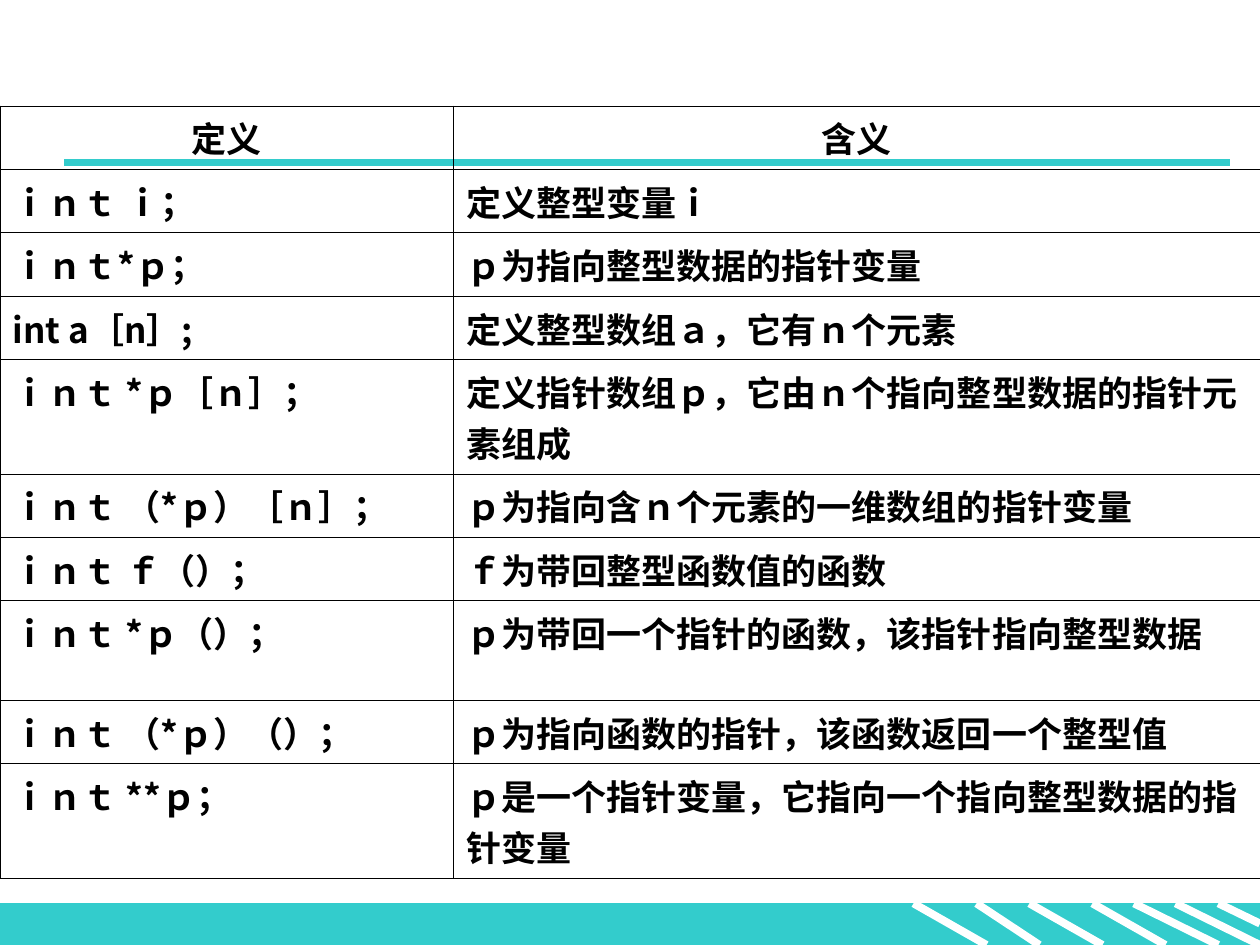
import pptx
import pptx.dml.color
import pptx.enum.shapes
import pptx.enum.text
import pptx.oxml.ns
import pptx.util
from lxml import etree
from pptx.util import Inches

FONT = "Noto Sans CJK SC"
TEAL, WHITE, BLACK = "33CCCC", "FFFFFF", "000000"


def colour(value):
    return pptx.dml.color.RGBColor.from_string(value)


def add_child(parent, tag, **attributes):
    return etree.SubElement(parent, pptx.oxml.ns.qn(tag), **attributes)


def write(frame, text, size=20, bold=True, ink=BLACK, align="LEFT"):
    para = frame.paragraphs[0]
    para.alignment = getattr(pptx.enum.text.PP_ALIGN, align)
    span = para.add_run()
    span.text = text
    span.font.size = pptx.util.Pt(size)
    span.font.bold = bold
    span.font.name = FONT
    span.font.language_id = pptx.enum.lang.MSO_LANGUAGE_ID.SIMPLIFIED_CHINESE
    span.font.color.rgb = colour(ink)
    add_child(span.font._element, "a:ea", typeface=FONT)


class SlideBuilder:
    def __init__(self, page, border=0.45):
        self.page = page
        self.border = pptx.util.Pt(border)

    def bar(self, left, top, width, height, fill):
        box = self.page.shapes.add_shape(
            pptx.enum.shapes.MSO_SHAPE.RECTANGLE,
            Inches(left), Inches(top), Inches(width), Inches(height))
        box.shadow.inherit = False
        box.fill.solid()
        box.fill.fore_color.rgb = colour(fill)
        box.line.color.rgb = colour(fill)
        box.line.width = pptx.util.Pt(0.75)

    def line(self, x1, y1, x2, y2, ink, width=4.5):
        connector = self.page.shapes.add_connector(
            pptx.enum.shapes.MSO_CONNECTOR.STRAIGHT,
            Inches(x1), Inches(y1), Inches(x2), Inches(y2))
        connector.line.color.rgb = colour(ink)
        connector.line.width = pptx.util.Pt(width)
        add_child(connector._element.spPr, "a:effectLst")

    def outline(self, cell):
        properties = cell._tc.get_or_add_tcPr()
        for side in ("a:lnL", "a:lnR", "a:lnT", "a:lnB"):
            edge = add_child(properties, side, w=str(int(self.border)))
            add_child(add_child(edge, "a:solidFill"), "a:srgbClr", val=BLACK)

    def table(self, left, top, columns, heights, rows):
        table = self.page.shapes.add_table(
            len(rows), len(columns), Inches(left), Inches(top),
            Inches(sum(columns)), Inches(sum(heights))).table
        table.first_row = table.horz_banding = False
        for column, width in zip(table.columns, columns):
            column.width = Inches(width)
        for index, (row, height, texts) in enumerate(zip(table.rows, heights, rows)):
            row.height = Inches(height)
            for cell, text in zip(row.cells, texts):
                self.outline(cell)
                cell.fill.background()
                write(cell.text_frame, text, align="LEFT" if index else "CENTER")


def main():
    deck = pptx.Presentation()
    deck.slide_width, deck.slide_height = Inches(10), Inches(7.5)
    page = deck.slides.add_slide(deck.slide_layouts[6])
    builder = SlideBuilder(page)

    # Footer band with slanted stripes
    builder.bar(0, 7.17, 10, 0.33, TEAL)
    stripes = [(7.75, 8.25, 7.5), (7.25, 7.83, 7.5), (8.17, 8.75, 7.5),
               (9.33, 10, 7.5), (9, 9.67, 7.5), (9.67, 10, 7.33), (8.67, 9.25, 7.5)]
    for start, end, bottom in stripes:
        builder.line(start, 7.17, end, bottom, WHITE)

    # Title rule
    builder.line(0.51, 1.29, 9.76, 1.29, TEAL)

    # Table of pointer definitions
    definitions = [
        ("定义", "含义"),
        ("ｉｎｔ ｉ；", "定义整型变量ｉ"),
        ("ｉｎｔ*ｐ；", "ｐ为指向整型数据的指针变量"),
        ("int a［n］;", "定义整型数组ａ，它有ｎ个元素"),
        ("ｉｎｔ *ｐ［ｎ］；", "定义指针数组ｐ，它由ｎ个指向整型数据的指针元素组成"),
        ("ｉｎｔ （*ｐ）［ｎ］；", "ｐ为指向含ｎ个元素的一维数组的指针变量"),
        ("ｉｎｔ ｆ（）；", "ｆ为带回整型函数值的函数"),
        ("ｉｎｔ *ｐ（）；", "ｐ为带回一个指针的函数，该指针指向整型数据"),
        ("ｉｎｔ （*ｐ）（）；", "ｐ为指向函数的指针，该函数返回一个整型值"),
        ("ｉｎｔ **ｐ；", "ｐ是一个指针变量，它指向一个指向整型数据的指针变量"),
    ]
    tall_rows = (4, 7, 9)
    heights = [0.79 if index in tall_rows else 0.48 for index in range(len(definitions))]
    builder.table(0, 0.84, [3.6, 6.4], heights, definitions)

    deck.save("out.pptx")


if __name__ == "__main__":
    import pptx.enum.lang
    main()
